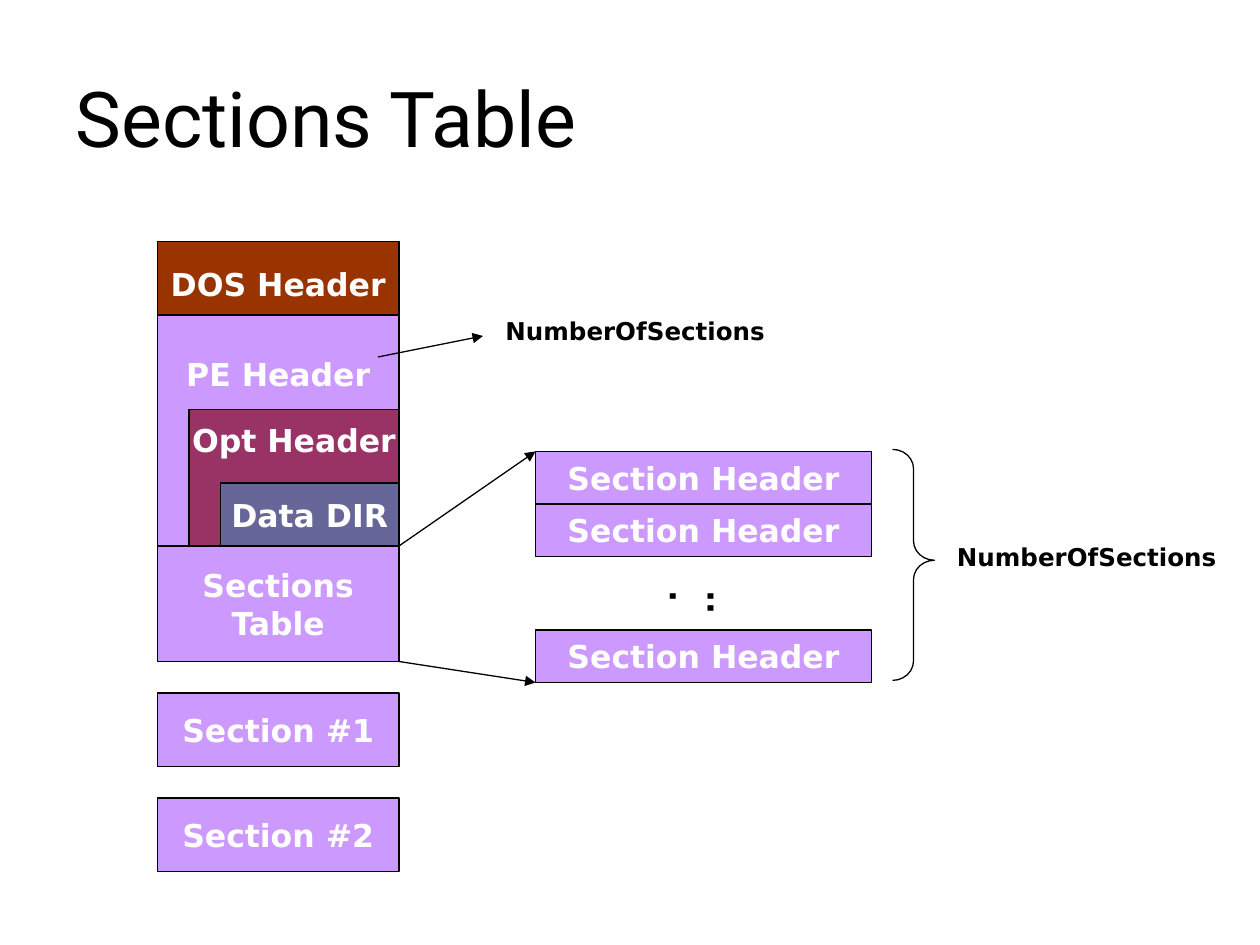
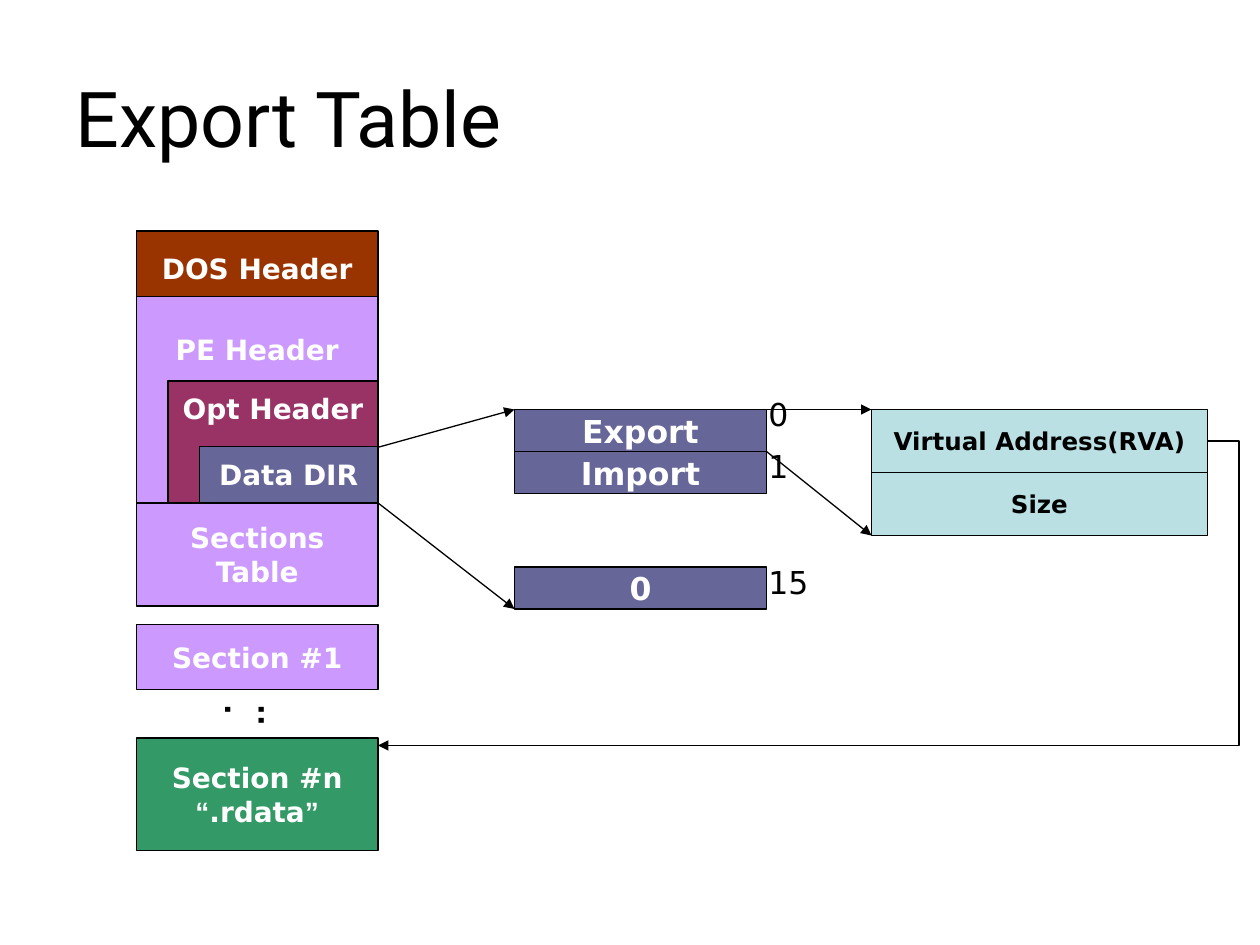
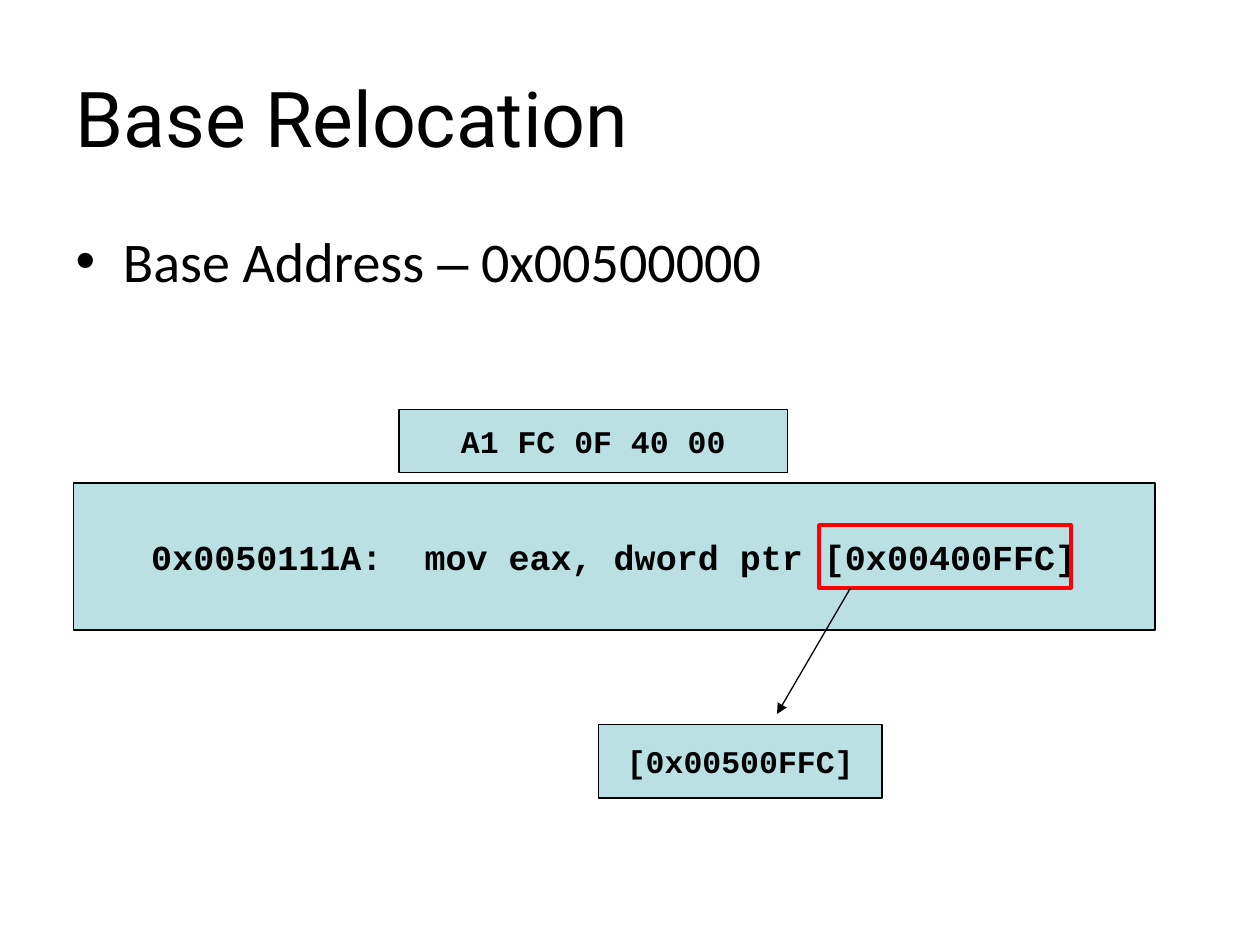
from lxml import etree
from pptx import Presentation
from pptx import util as u
from pptx.dml.color import RGBColor
from pptx.enum import shapes, text
from pptx.oxml.ns import qn

PX = 7620  # 120 px to the inch

BLACK = RGBColor(0x00, 0x00, 0x00)
WHITE = RGBColor(0xFF, 0xFF, 0xFF)
RED = RGBColor(0xFF, 0x00, 0x00)
BROWN = RGBColor(0x99, 0x33, 0x00)
LILAC = RGBColor(0xCC, 0x99, 0xFF)
PLUM = RGBColor(0x99, 0x33, 0x66)
SLATE = RGBColor(0x66, 0x66, 0x99)
GREEN = RGBColor(0x33, 0x99, 0x66)
PALE_BLUE = RGBColor(0xBB, 0xE0, 0xE3)

TITLE_FONT = "Roboto"
BODY_FONT = "Calibri"
LABEL_FONT = "DejaVu Sans"
CODE_FONT = "Courier New"
SYMBOL_FONT = "Arial"

TITLE_ONLY, TITLE_AND_BODY = 5, 1
STACK_WIDTH = 230

# label, indent, offset from the top, height, fill, label's rise in lines
FILE_HEADERS = [
    ("DOS Header", 0, 0, 80, BROWN, 0),
    ("PE Header", 0, 70, 220, LILAC, 3),
    ("Opt Header", 30, 160, 130, PLUM, 2),
    ("Sections\nTable", 0, 290, 110, LILAC, 0),
    ("Data DIR", 60, 230, 60, SLATE, 0),
]


def px(*lengths):
    return [u.Emu(round(length * PX)) for length in lengths]


def place(shape, left, top, width, height):
    shape.left, shape.top, shape.width, shape.height = px(left, top, width, height)


def add_run(paragraph, words, size, color, font=LABEL_FONT, bold=True):
    run = paragraph.add_run()
    run.text = words
    run.font.size = u.Pt(size)
    run.font.name = font
    run.font.bold = bold
    run.font.color.rgb = color


def write_lines(frame, lines, size, color, font=LABEL_FONT, bold=True, align=None):
    """Write one paragraph per line; a line is a string or a list of (words, font)."""
    for index, line in enumerate(lines):
        paragraph = frame.add_paragraph() if index else frame.paragraphs[0]
        paragraph.alignment = align
        for words, run_font in [(line, font)] if isinstance(line, str) else line:
            add_run(paragraph, words, size, color, run_font, bold)


def set_insets(frame, side, end, extra_bottom=0):
    frame.margin_left = frame.margin_right = px(side)[0]
    frame.margin_top = px(end)[0]
    frame.margin_bottom = px(end + extra_bottom)[0]


def add_titled_slide(presentation, title, layout=TITLE_ONLY):
    slide = presentation.slides.add_slide(presentation.slide_layouts[layout])
    place(slide.shapes.title, 60, 36, 1080, 150)
    frame = slide.shapes.title.text_frame
    frame.vertical_anchor = text.MSO_ANCHOR.MIDDLE
    write_lines(frame, [title], 44, BLACK, TITLE_FONT, False, text.PP_ALIGN.LEFT)
    return slide


def add_block(slide, box, lines, fill, size=18, color=WHITE, font=LABEL_FONT, rise=0):
    """Add a filled rectangle; rise lifts its label by half that many line heights."""
    block = slide.shapes.add_shape(shapes.MSO_SHAPE.RECTANGLE, *px(*box))
    block.shadow.inherit = False
    block.fill.solid()
    block.fill.fore_color.rgb = fill
    block.line.color.rgb = BLACK
    block.line.width = u.Pt(0.75)
    frame = block.text_frame
    frame.word_wrap = False
    frame.vertical_anchor = text.MSO_ANCHOR.MIDDLE
    set_insets(frame, 12, 6, rise * size * 2)
    write_lines(frame, lines, size, color, font, align=text.PP_ALIGN.CENTER)


def add_outline(slide, kind, box, color, width):
    outline = slide.shapes.add_shape(kind, *px(*box))
    outline.shadow.inherit = False
    outline.fill.background()
    outline.line.color.rgb = color
    outline.line.width = u.Pt(width)
    return outline


def add_field_name(slide, box, name):
    frame = slide.shapes.add_textbox(*px(*box)).text_frame
    frame.word_wrap = False
    frame.vertical_anchor = text.MSO_ANCHOR.MIDDLE
    set_insets(frame, 0, 6)
    write_lines(frame, [name], 14, BLACK, align=text.PP_ALIGN.CENTER)


def add_index(slide, top, number):
    frame = slide.shapes.add_textbox(*px(720, top, 70, 48)).text_frame
    frame.word_wrap = True
    write_lines(frame, [number], 18, BLACK, bold=False)


def add_ellipsis(slide, box, size):
    """Add vertically set dots that stand for left-out blocks."""
    dots = slide.shapes.add_textbox(*px(*box))
    frame = dots.text_frame
    frame.word_wrap = True
    frame.auto_size = text.MSO_AUTO_SIZE.SHAPE_TO_FIT_TEXT
    set_insets(frame, 6, 12)
    dots.element.txBody.bodyPr.set("vert", "eaVert")
    write_lines(frame, ["..."], size, BLACK)


def add_arrow(slide, start, end, kind=shapes.MSO_CONNECTOR.STRAIGHT):
    arrow = slide.shapes.add_connector(kind, *px(*start, *end))
    arrow.line.color.rgb = BLACK
    arrow.line.width = u.Pt(0.75)
    outline = arrow.element.spPr.find(qn("a:ln"))
    etree.SubElement(outline, qn("a:tailEnd"), type="triangle")
    etree.SubElement(arrow.element.spPr, qn("a:effectLst"))
    return arrow


def add_return_arrow(slide, start, end, overshoot):
    """Add an elbow arrow that first runs past its start, then back to its end."""
    arrow = add_arrow(slide, start, end, shapes.MSO_CONNECTOR.ELBOW)
    guides = arrow.element.spPr.find(qn("a:prstGeom")).get_or_add_avLst()
    share = round(-100000 * overshoot / abs(end[0] - start[0]))
    etree.SubElement(guides, qn("a:gd"), name="adj1", fmla=f"val {share}")


def add_file_headers(slide, left, top, size, scale=1):
    for label, indent, offset, height, fill, rise in FILE_HEADERS:
        box = (left + indent, top + offset * scale, STACK_WIDTH - indent, height * scale)
        add_block(slide, box, label.split("\n"), fill, size, rise=rise)


def add_bullet_list(slide, box, lines, size):
    body = slide.placeholders[1]
    place(body, *box)
    frame = body.text_frame
    for index, line in enumerate(lines):
        paragraph = frame.add_paragraph() if index else frame.paragraphs[0]
        properties = paragraph._p.get_or_add_pPr()
        properties.set("marL", str(45 * PX))
        properties.set("indent", str(-45 * PX))
        etree.SubElement(properties, qn("a:buFont"), typeface=SYMBOL_FONT)
        etree.SubElement(properties, qn("a:buChar"), char="•")
        paragraph.space_before = u.Pt(0)
        for words, font in line:
            add_run(paragraph, words, size, BLACK, font, False)


def build_sections_table(presentation):
    slide = add_titled_slide(presentation, "Sections Table")
    add_file_headers(slide, 150, 230, 18)
    for number in (1, 2):
        box = (150, 560 + 100 * number, STACK_WIDTH, 70)
        add_block(slide, box, [f"Section #{number}"], LILAC)
    add_arrow(slide, (380, 520), (510, 430))
    add_arrow(slide, (380, 630), (510, 650))
    for top in (430, 480, 600):
        add_block(slide, (510, top, 320, 50), ["Section Header"], LILAC)
    add_ellipsis(slide, (650, 550, 60, 50), 18)
    brace = add_outline(slide, shapes.MSO_SHAPE.RIGHT_BRACE, (850, 428, 40, 220), BLACK, 0.75)
    brace.adjustments[0] = 0.46
    brace.adjustments[1] = 0.48
    add_field_name(slide, (900, 490, 270, 80), "NumberOfSections")
    add_field_name(slide, (460, 290, 290, 50), "NumberOfSections")
    add_arrow(slide, (360, 340), (460, 320))


def build_export_table(presentation):
    slide = add_titled_slide(presentation, "Export Table")
    add_arrow(slide, (360, 426), (490, 390))
    add_arrow(slide, (360, 479), (490, 580))
    for top, entry in ((390, "Export"), (430, "Import"), (540, "0")):
        add_block(slide, (490, top, 240, 40), [entry], SLATE)
    for top, number in ((370, "0"), (420, "1"), (530, "15")):
        add_index(slide, top, number)
    add_arrow(slide, (730, 390), (830, 390))
    add_arrow(slide, (730, 430), (830, 510))
    for top, field in ((390, "Virtual Address(RVA)"), (450, "Size")):
        add_block(slide, (830, top, 320, 60), [field], PALE_BLUE, 14, BLACK)
    add_return_arrow(slide, (1150, 420), (360, 710), 30)
    add_file_headers(slide, 130, 220, 16, 25 / 28)
    add_block(slide, (130, 595, STACK_WIDTH, 62), ["Section #1"], LILAC, 16)
    quoted_name = [("“", SYMBOL_FONT), (".rdata", LABEL_FONT), ("”", SYMBOL_FONT)]
    add_block(slide, (130, 703, STACK_WIDTH, 107), ["Section #n", quoted_name], GREEN, 16)
    add_ellipsis(slide, (224, 659, 55, 48), 16)


def build_base_relocation(presentation):
    slide = add_titled_slide(presentation, "Base Relocation", TITLE_AND_BODY)
    base_address = [("Base Address ", BODY_FONT), ("–", SYMBOL_FONT), (" 0x00500000", BODY_FONT)]
    add_bullet_list(slide, (60, 210, 1080, 160), [base_address], 32)
    for box, code, size in (
        ((70, 460, 1030, 140), "0x0050111A:  mov eax, dword ptr [0x00400FFC]", 20),
        ((570, 690, 270, 70), "[0x00500FFC]", 18),
        ((380, 390, 370, 60), "A1 FC 0F 40 00", 18),
    ):
        add_block(slide, box, [code], PALE_BLUE, size, BLACK, CODE_FONT)
    add_outline(slide, shapes.MSO_SHAPE.RECTANGLE, (780, 500, 240, 60), RED, 2)
    add_arrow(slide, (810, 560), (740, 680))


def main():
    presentation = Presentation()
    presentation.slide_width, presentation.slide_height = px(1200, 900)
    build_sections_table(presentation)
    build_export_table(presentation)
    build_base_relocation(presentation)
    presentation.save("out.pptx")


if __name__ == "__main__":
    main()
